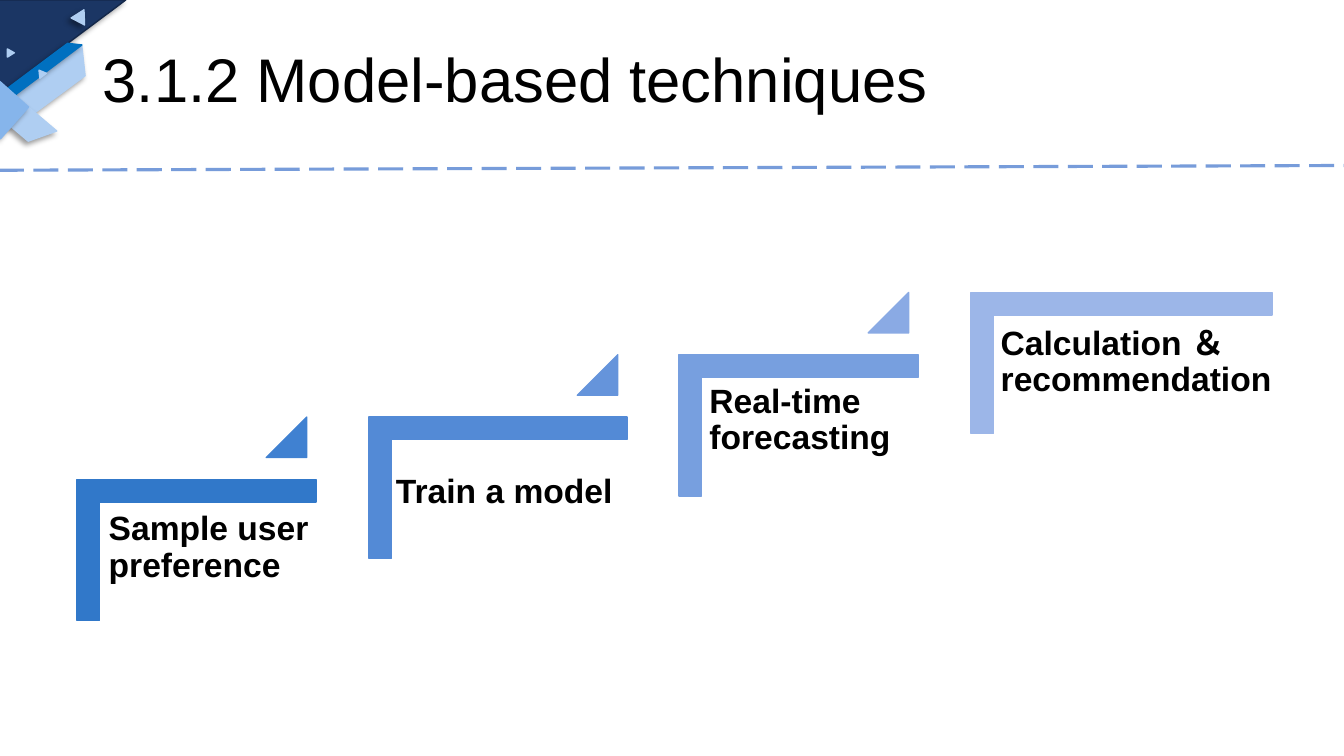
from lxml.etree import SubElement
from pptx import Presentation
from pptx.dml.color import RGBColor
from pptx.enum.dml import MSO_LINE
from pptx.enum.shapes import MSO_CONNECTOR, MSO_SHAPE
from pptx.enum.text import MSO_ANCHOR
from pptx.oxml import parse_xml
from pptx.oxml.ns import nsdecls, qn
from pptx.util import Cm, Pt

FONT = "Arial"
BLACK = RGBColor(0x00, 0x00, 0x00)
NAVY = RGBColor(0x1B, 0x36, 0x64)
NAVY_EDGE = RGBColor(0x14, 0x28, 0x4A)
BLUE = RGBColor(0x00, 0x70, 0xC0)
SKY = RGBColor(0x86, 0xB5, 0xEB)
PALE = RGBColor(0xAF, 0xCE, 0xF2)
RULE = RGBColor(0x77, 0x9C, 0xDA)
STEP_COLOURS = [
    RGBColor(0x31, 0x78, 0xC9),
    RGBColor(0x53, 0x8A, 0xD6),
    RGBColor(0x77, 0x9F, 0xDF),
    RGBColor(0x9C, 0xB6, 0xE8),
]
ARROW_COLOURS = [
    RGBColor(0x40, 0x81, 0xD1),
    RGBColor(0x65, 0x94, 0xDB),
    RGBColor(0x8A, 0xAA, 0xE4),
]

FIRST_TOP = 12.08
RISE = 1.57
CORNER_HEIGHT = 3.56
ARROW_SIZE = 1.02
ARROW_INDENT = 1.25

STEPS = [
    ("Sample user preference", 1.94, 6.02, (2.44, 12.6, 7.59, 4.7), 0.3),
    ("Train a model", 9.3, 6.5, (9.68, 11.66, 8.2, 4.44), 0.3),
    ("Real-time forecasting", 17.11, 6.02, (17.7, 9.5, 5.44, 4.7), 0.18),
    ("Calculation ＆ recommendation", 24.47, 7.59, (25.04, 8.05, 7.59, 4.7), 0.18),
]

ORNAMENTS = [
    (MSO_SHAPE.TRAPEZOID, (0.08, 1.8, 2.41, 0.66), 143.6, PALE, 0.58, True),
    (MSO_SHAPE.RIGHT_TRIANGLE, (-0.03, 0, 3.2, 2.39), 180, NAVY, None, True),
    (MSO_SHAPE.ISOSCELES_TRIANGLE, (1.85, 0.23, 0.38, 0.33), 27.7, PALE, None, True),
    (MSO_SHAPE.ISOSCELES_TRIANGLE, (0.13, 1.27, 0.2, 0.18), 209, PALE, None, False),
    (MSO_SHAPE.TRAPEZOID, (-0.18, 1.63, 2.41, 0.25), 323.2, BLUE, 1.05, True),
    (MSO_SHAPE.ISOSCELES_TRIANGLE, (0.94, 1.8, 0.2, 0.18), 203, PALE, None, False),
    (MSO_SHAPE.TRAPEZOID, (-0.15, 2.72, 1.55, 0.66), 220.3, PALE, 0.58, True),
    (MSO_SHAPE.RIGHT_TRIANGLE, (-0.48, 2.24, 0.97, 1.07), 221.6, SKY, None, True),
]


def add_figure(slide, kind, box, colour, rotation=0, adjustments=()):
    shape = slide.shapes.add_shape(kind, *map(Cm, box))
    shape.rotation = rotation
    for index, value in enumerate(adjustments):
        shape.adjustments[index] = value
    shape.fill.solid()
    shape.fill.fore_color.rgb = colour
    shape.line.color.rgb = colour
    shape.line.width = Pt(1)
    shape.shadow.inherit = False
    return shape


def add_shadow(shape):
    effects = shape.element.spPr.find(qn("a:effectLst"))
    effects.append(parse_xml(
        f'<a:outerShdw {nsdecls("a")} blurRad="{Pt(4)}" dist="{Pt(3)}" '
        'dir="8100000" algn="tr" rotWithShape="0"><a:srgbClr val="000000">'
        '<a:alpha val="40000"/></a:srgbClr></a:outerShdw>'))


def add_text(slide, text, box, size, bold=False, inset=0.25, anchor=MSO_ANCHOR.TOP):
    frame = slide.shapes.add_textbox(*map(Cm, box)).text_frame
    frame.word_wrap = True
    frame.vertical_anchor = anchor
    frame.margin_left = frame.margin_right = Cm(inset)
    frame.margin_top = frame.margin_bottom = Cm(inset)
    paragraph = frame.paragraphs[0]
    paragraph.line_spacing = 0.9
    run = paragraph.add_run()
    run.text = text
    run.font.name = FONT
    run.font.size = Pt(size)
    run.font.bold = bold
    run.font.color.rgb = BLACK


def add_ornaments(slide):
    for kind, box, rotation, colour, slant, shadowed in ORNAMENTS:
        adjustments = () if slant is None else (slant,)
        shape = add_figure(slide, kind, box, colour, rotation, adjustments)
        if shadowed:
            add_shadow(shape)
        if colour == NAVY:
            shape.line.color.rgb = NAVY_EDGE
            shape.element.spPr.find(qn("a:xfrm")).set("flipH", "1")


def add_rule(slide):
    rule = slide.shapes.add_connector(
        MSO_CONNECTOR.STRAIGHT, Cm(-0.03), Cm(4.29), Cm(33.87), Cm(4.17))
    rule.line.color.rgb = RULE
    rule.line.width = Pt(2.25)
    rule.line.dash_style = MSO_LINE.LONG_DASH
    SubElement(rule.element.spPr, qn("a:effectLst"))


def add_corner(slide, left, top, width, colour):
    shift = (width - CORNER_HEIGHT) / 2
    box = (left + shift, top - shift, CORNER_HEIGHT, width)
    shape = add_figure(slide, MSO_SHAPE.HALF_FRAME, box, colour, 90, (0.16, 0.16))
    shape.element.spPr.find(qn("a:prstGeom")).set("prst", "corner")


def add_steps(slide):
    for index, (text, left, width, text_box, inset) in enumerate(STEPS):
        top = FIRST_TOP - index * RISE
        add_corner(slide, left, top, width, STEP_COLOURS[index])
        add_text(slide, text, text_box, 24, bold=True, inset=inset)
        if index < len(ARROW_COLOURS):
            box = (left + width - ARROW_INDENT, top - RISE, ARROW_SIZE, ARROW_SIZE)
            add_figure(slide, MSO_SHAPE.ISOSCELES_TRIANGLE, box,
                       ARROW_COLOURS[index], adjustments=(1,))


def main():
    presentation = Presentation()
    presentation.slide_width = Cm(33.87)
    presentation.slide_height = Cm(19.05)
    slide = presentation.slides.add_slide(presentation.slide_layouts[6])
    add_ornaments(slide)
    add_rule(slide)
    add_text(slide, "3.1.2 Model-based techniques", (2.34, 0.23, 29.21, 3.68), 44,
             anchor=MSO_ANCHOR.MIDDLE)
    add_steps(slide)
    presentation.save("out.pptx")


if __name__ == "__main__":
    main()
